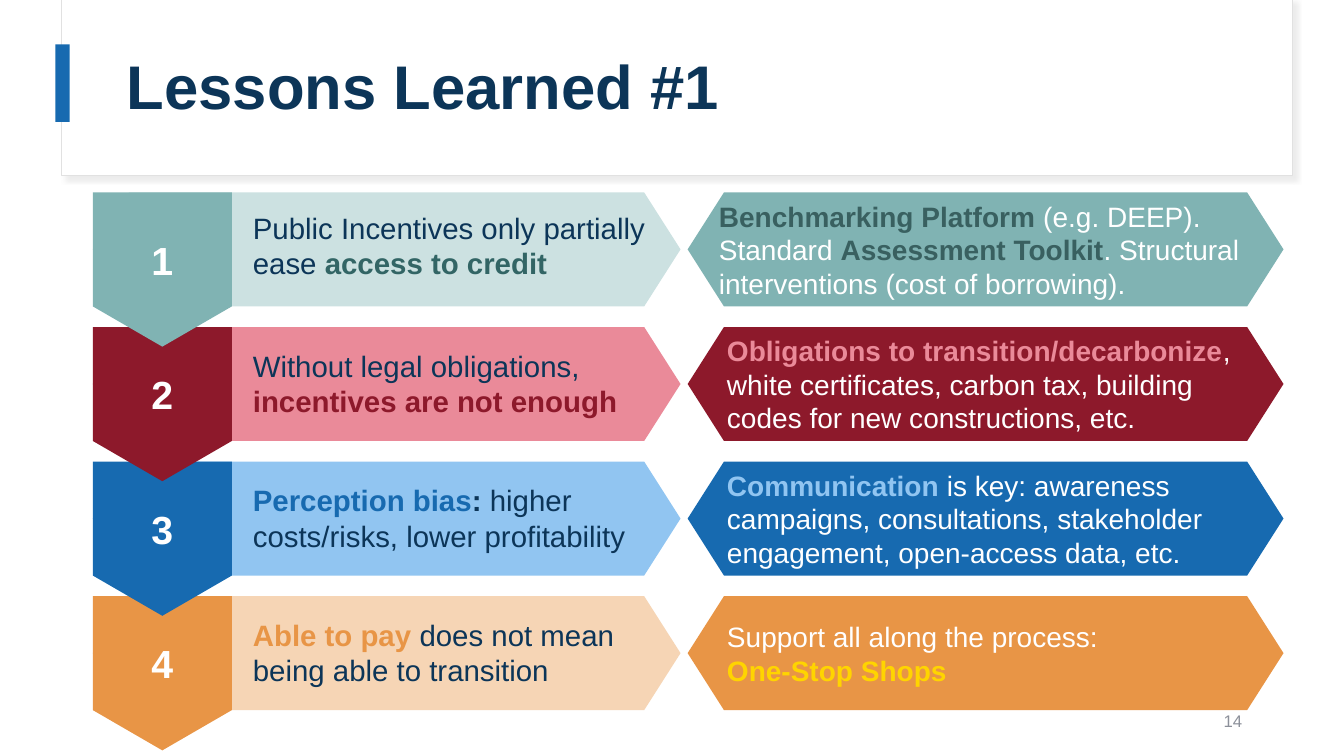
from pptx import Presentation
from pptx.dml.color import RGBColor
from pptx.enum.shapes import MSO_SHAPE as Preset
from pptx.enum.text import MSO_ANCHOR as Anchor, PP_ALIGN as Align
from pptx.oxml import parse_xml
from pptx.oxml.ns import nsdecls
from pptx.util import Inches, Pt

NAVY, WHITE, BLUE = "0C3558", "FFFFFF", "176AB0"
ROW_TOP, ROW_PITCH, ROW_HEIGHT = 1.91, 1.335, 1.13
TIP = 0.36

LESSONS = [
    {
        "dark": "80B3B3", "light": "CCE1E1", "label_shift": -0.03, "inset": 0.31,
        "lesson": [("Public Incentives only partially ease ", NAVY, False),
                   ("access to credit", "326565", True)],
        "response": [("Benchmarking Platform ", "396060", True),
                     ("(e.g. DEEP). Standard ", WHITE, False),
                     ("Assessment Toolkit", "396060", True),
                     (". Structural interventions (cost of borrowing).", WHITE, False)],
    },
    {
        "dark": "8D192B", "light": "EA8A99", "label_shift": 0, "inset": 0.39,
        "lesson": [("Without legal obligations, ", NAVY, False),
                   ("incentives are not enough", "8D192B", True)],
        "response": [("Obligations to transition/decarbonize", "EA8A99", True),
                     (", white certificates, carbon tax, building codes "
                      "for new constructions, etc.", WHITE, False)],
    },
    {
        "dark": BLUE, "light": "91C5F1", "label_shift": 0, "inset": 0.39,
        "lesson": [("Perception bias", BLUE, True), (":", NAVY, True),
                   (" higher costs/risks, lower profitability", NAVY, False)],
        "response": [("Communication ", "91C5F1", True),
                     ("is key: awareness campaigns, consultations, stakeholder "
                      "engagement, open-access data, etc.", WHITE, False)],
    },
    {
        "dark": "E89546", "light": "F6D5B5", "label_shift": 0, "inset": 0.39,
        "lesson": [("Able to pay ", "E89546", True),
                   ("does not mean being able to transition", NAVY, False)],
        "response": [("Support all along the process: ", WHITE, False),
                     ("\n", WHITE, False),
                     ("One-Stop Shops", "FFD400", True)],
    },
]


def color(hex_code):
    return RGBColor.from_string(hex_code)


def paint(shape, fill):
    shape.shadow.inherit = False
    shape.fill.solid()
    shape.fill.fore_color.rgb = color(fill)
    shape.line.fill.background()
    return shape


def write(shape, runs, size, insets=(0.1, 0.1, 0.1, 0.1), align=Align.LEFT, spacing=1.0):
    frame = shape.text_frame
    left, top, right, bottom = map(Inches, insets)
    layout = {"word_wrap": True, "vertical_anchor": Anchor.MIDDLE,
              "margin_left": left, "margin_top": top,
              "margin_right": right, "margin_bottom": bottom}
    for name, value in layout.items():
        setattr(frame, name, value)
    paragraph = frame.paragraphs[0]
    paragraph.alignment = align
    paragraph.line_spacing = spacing
    for words, hue, bold in runs:
        if words == "\n":
            paragraph.add_line_break()
            continue
        run = paragraph.add_run()
        run.text = words
        for name, value in {"name": "Arial", "size": Pt(size), "bold": bold}.items():
            setattr(run.font, name, value)
        run.font.color.rgb = color(hue)


def add_text(slide, box, *args, **kwargs):
    write(slide.shapes.add_textbox(*map(Inches, box)), *args, **kwargs)


def add_outline(slide, points, fill):
    start, *rest = [(Inches(x), Inches(y)) for x, y in points]
    builder = slide.shapes.build_freeform(*start)
    builder.add_line_segments(rest, close=True)
    return paint(builder.convert_to_shape(), fill)


def add_hexagon(slide, left, top, width, height, fill):
    right, middle, bottom = left + width, top + height / 2, top + height
    return add_outline(slide, [
        (left + TIP, top), (left, middle), (left + TIP, bottom),
        (right - TIP, bottom), (right, middle), (right - TIP, top)], fill)


def add_number_flag(slide, left, top, width, height, number, fill):
    right, shoulder = left + width, top + height
    flag = add_outline(slide, [
        (left, top), (left, shoulder), (left + width / 2, shoulder + 0.4),
        (right, shoulder), (right, top)], fill)
    write(flag, [(str(number), WHITE, True)], 28, (0.1, 0.1, 0.1, 0.3), Align.CENTER)


def add_header(slide, left, top, width, height):
    panel = paint(slide.shapes.add_shape(
        Preset.RECTANGLE, *map(Inches, (left, top, width, height))), WHITE)
    panel.line.color.rgb = color("E1E1E1")
    panel.line.width = Pt(0.75)
    panel.shadow.inherit = False
    panel._element.spPr.find(
        "{http://schemas.openxmlformats.org/drawingml/2006/main}effectLst").append(parse_xml(
            f'<a:outerShdw {nsdecls("a")} blurRad="{Pt(4)}" dist="{Pt(3)}" dir="2700000" '
            'algn="tl" rotWithShape="0"><a:srgbClr val="D9D9D9">'
            '<a:alpha val="50000"/></a:srgbClr></a:outerShdw>'))
    accent = (left - 0.06, top + 0.44, 0.14, 0.77)
    paint(slide.shapes.add_shape(Preset.RECTANGLE, *map(Inches, accent)), BLUE)
    add_text(slide, (left + 0.55, top + 0.24, 11.12, 1.29),
             [("Lessons Learned #1", NAVY, True)], 44, (0.1, 0.05, 0.1, 0.05), spacing=0.9)


def add_lesson(slide, left, top, height, number, lesson):
    add_hexagon(slide, left, top, 5.83, height, lesson["light"])
    add_number_flag(slide, left, top, 1.38, height, number, lesson["dark"])
    add_text(slide, (left + 1.49, top + lesson["label_shift"], 4.2, 1.11),
             lesson["lesson"], 21)


def add_response(slide, left, top, height, lesson):
    inset = lesson["inset"]
    arrow = add_hexagon(slide, left, top, 5.91, height, lesson["dark"])
    write(arrow, lesson["response"], 20, (inset, 0.1, inset, 0.1))


def main():
    deck = Presentation()
    deck.slide_width, deck.slide_height = Inches(13.33), Inches(7.5)
    slide = deck.slides.add_slide(deck.slide_layouts[6])
    add_header(slide, 0.61, 0, 12.21, 1.74)
    for index, lesson in reversed(list(enumerate(LESSONS))):
        top = ROW_TOP + index * ROW_PITCH
        add_lesson(slide, 0.92, top, ROW_HEIGHT, index + 1, lesson)
        add_response(slide, 6.82, top, ROW_HEIGHT, lesson)
    add_text(slide, (9.42, 6.95, 3, 0.4), [("14", "8C909A", False)], 12,
             (0.1, 0.05, 0.1, 0.05), Align.RIGHT)
    deck.save("out.pptx")


if __name__ == "__main__":
    main()
